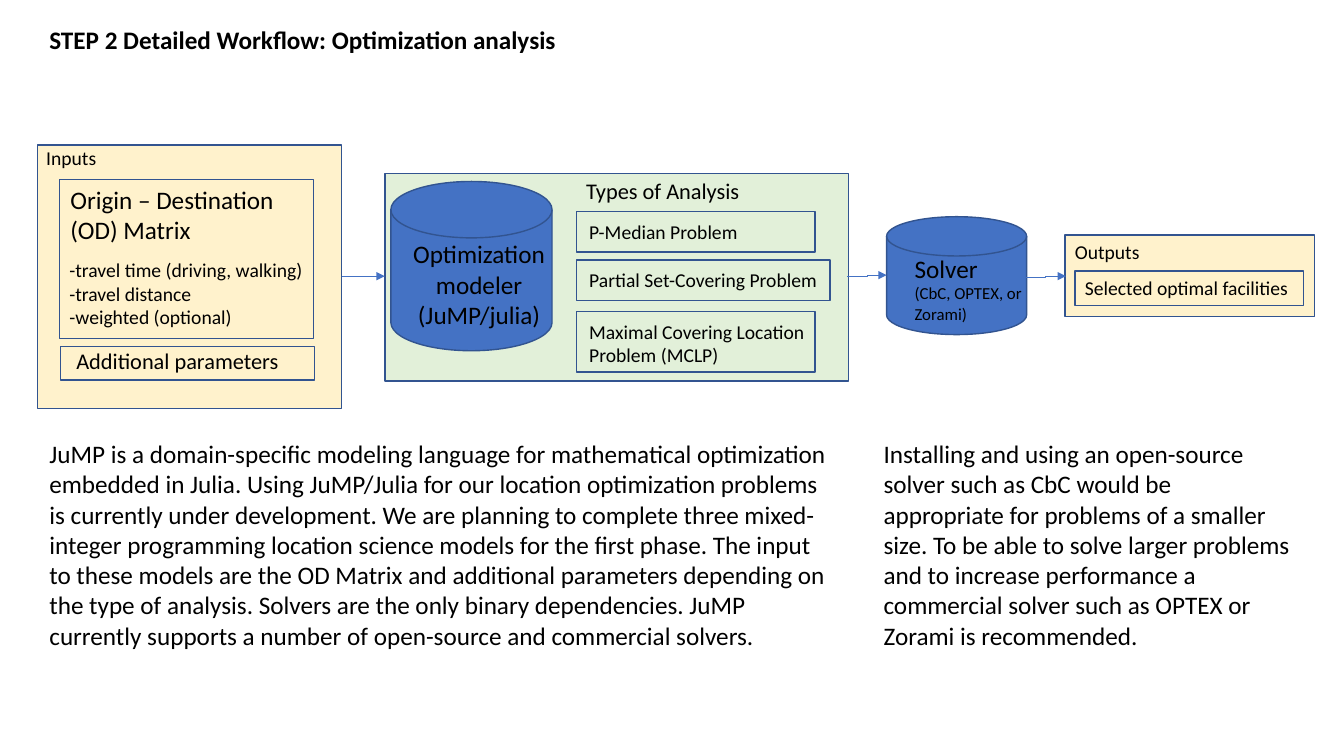
from pptx import Presentation
from pptx.dml.color import RGBColor
from pptx.enum.shapes import MSO_CONNECTOR, MSO_SHAPE
from pptx.enum.text import MSO_ANCHOR, MSO_AUTO_SIZE, PP_ALIGN
from pptx.oxml.ns import qn
from pptx.util import Inches, Pt
from lxml import etree

RECT = MSO_SHAPE.RECTANGLE
DISK = MSO_SHAPE.FLOWCHART_MAGNETIC_DISK
ELBOW = MSO_CONNECTOR.ELBOW
TOP = MSO_ANCHOR.TOP
NO_FIT = MSO_AUTO_SIZE.NONE
LEFT, CENTER = PP_ALIGN.LEFT, PP_ALIGN.CENTER

BLACK, BLUE, OUTLINE = "000000", "4472C4", "325490"
CREAM, GREEN = "FFF2CC", "E2F0D9"


def color(value):
    return RGBColor.from_string(value)


class Deck:
    font = "Calibri"

    def __init__(self, width, height):
        self.prs = Presentation()
        self.prs.slide_width = Inches(width)
        self.prs.slide_height = Inches(height)

    def slide(self, layout):
        self.s = self.prs.slides.add_slide(self.prs.slide_layouts[layout])

    def add_lines(self, tf, lines, bold=False, align=LEFT):
        tf.word_wrap = True
        tf.auto_size = NO_FIT
        tf.vertical_anchor = TOP
        for i, (text, size) in enumerate(lines):
            p = tf.paragraphs[0] if i == 0 else tf.add_paragraph()
            p.alignment = align
            p.space_before = Pt(0)
            r = p.add_run()
            r.text = text
            r.font.name = self.font
            r.font.size = Pt(size)
            r.font.bold = bold
            r.font.color.rgb = color(BLACK)

    def placeholder(self, idx, box, text, bold=False):
        sp = self.s.placeholders[idx]
        sp.left, sp.top, sp.width, sp.height = map(Inches, box)
        self.add_lines(sp.text_frame, [(text, 18)], bold)
        pPr = sp.text_frame.paragraphs[0]._p.get_or_add_pPr()
        pPr.set("marL", "0")
        pPr.set("indent", "0")
        etree.SubElement(pPr, qn("a:buNone"))

    def shape(self, kind, box, fill=None):
        sp = self.s.shapes.add_shape(kind, *map(Inches, box))
        sp.shadow.inherit = False
        if fill:
            sp.fill.solid()
            sp.fill.fore_color.rgb = color(fill)
        else:
            sp.fill.background()
        sp.line.color.rgb = color(OUTLINE)
        sp.line.width = Pt(1)

    def text(self, box, lines, align=LEFT):
        sp = self.s.shapes.add_textbox(*map(Inches, box))
        self.add_lines(sp.text_frame, lines, align=align)

    def arrow(self, *ends):
        c = self.s.shapes.add_connector(ELBOW, *map(Inches, ends))
        c.line.color.rgb = color(BLUE)
        c.line.width = Pt(0.5)
        spPr = c._element.spPr
        etree.SubElement(spPr.find(qn("a:ln")), qn("a:tailEnd"), type="triangle")
        etree.SubElement(spPr, qn("a:effectLst"))


def main():
    deck = Deck(13.34, 7.5)
    deck.slide(3)
    deck.placeholder(0, (0.39, 0.19, 5.6, 0.4),
                     "STEP 2 Detailed Workflow: Optimization analysis", bold=True)
    deck.placeholder(1, (0.39, 4.3, 8.03, 2.2),
                     "JuMP is a domain-specific modeling language for mathematical optimization "
                     "embedded in Julia. Using JuMP/Julia for our location optimization problems "
                     "is currently under development. We are planning to complete three "
                     "mixed-integer programming location science models for the first phase. "
                     "The input to these models are the OD Matrix and additional parameters "
                     "depending on the type of analysis. Solvers are the only binary "
                     "dependencies. JuMP currently supports a number of open-source and "
                     "commercial solvers.")
    deck.placeholder(2, (8.67, 4.3, 4.26, 2.2),
                     "Installing and using an open-source solver such as CbC would be "
                     "appropriate for problems of a smaller size. To be able to solve larger "
                     "problems and to increase performance a commercial solver such as OPTEX "
                     "or Zorami is recommended.")

    deck.shape(RECT, (0.37, 1.44, 3.02, 2.61), CREAM)
    deck.text((0.36, 1.4, 1.44, 0.33), [("Inputs", 14)])
    deck.shape(RECT, (0.59, 1.78, 2.52, 1.58))
    deck.text((0.6, 1.78, 2.45, 0.7), [("Origin – Destination (OD) Matrix", 18)])
    deck.text((0.59, 2.51, 2.52, 0.8), [("-travel time (driving, walking)", 14),
                                        ("-travel distance", 14),
                                        ("-weighted (optional)", 14)])
    deck.shape(RECT, (0.6, 3.44, 2.52, 0.33))
    deck.text((0.66, 3.39, 2.27, 0.37), [("Additional parameters", 16)])

    deck.shape(RECT, (3.82, 1.72, 4.6, 2.06), GREEN)
    deck.shape(DISK, (3.88, 1.8, 1.6, 1.68), BLUE)
    deck.text((3.97, 2.32, 1.57, 1), [("Optimization", 18), ("modeler", 18),
                                      ("(JuMP/julia)", 18)], CENTER)
    deck.text((5.72, 1.71, 1.73, 0.37), [("Types of Analysis", 16)])
    for top, width, height, problem in (
            (2.1, 2.37, 0.4, "P-Median Problem"),
            (2.58, 2.52, 0.4, "Partial Set-Covering Problem"),
            (3.09, 2.37, 0.6, "Maximal Covering Location Problem (MCLP)")):
        deck.shape(RECT, (5.72, top, width, height))
        deck.text((5.75, top + 0.03, width, height - 0.05), [(problem, 14)])

    deck.shape(DISK, (8.8, 2.15, 1.39, 1.17), BLUE)
    deck.text((8.98, 2.46, 1.39, 0.8), [("Solver", 18), ("(CbC, OPTEX, or Zorami)", 12)])

    deck.shape(RECT, (10.57, 2.33, 2.48, 0.81), CREAM)
    deck.text((10.57, 2.33, 1.44, 0.33), [("Outputs", 14)])
    deck.shape(RECT, (10.67, 2.69, 2.27, 0.34))
    deck.text((10.67, 2.69, 2.26, 0.33), [("Selected optimal facilities", 14)])

    deck.arrow(3.39, 2.74, 3.82, 2.74)
    deck.arrow(8.41, 2.74, 8.8, 2.73)
    deck.arrow(10.18, 2.75, 10.58, 2.74)

    deck.prs.save("out.pptx")


if __name__ == "__main__":
    main()
